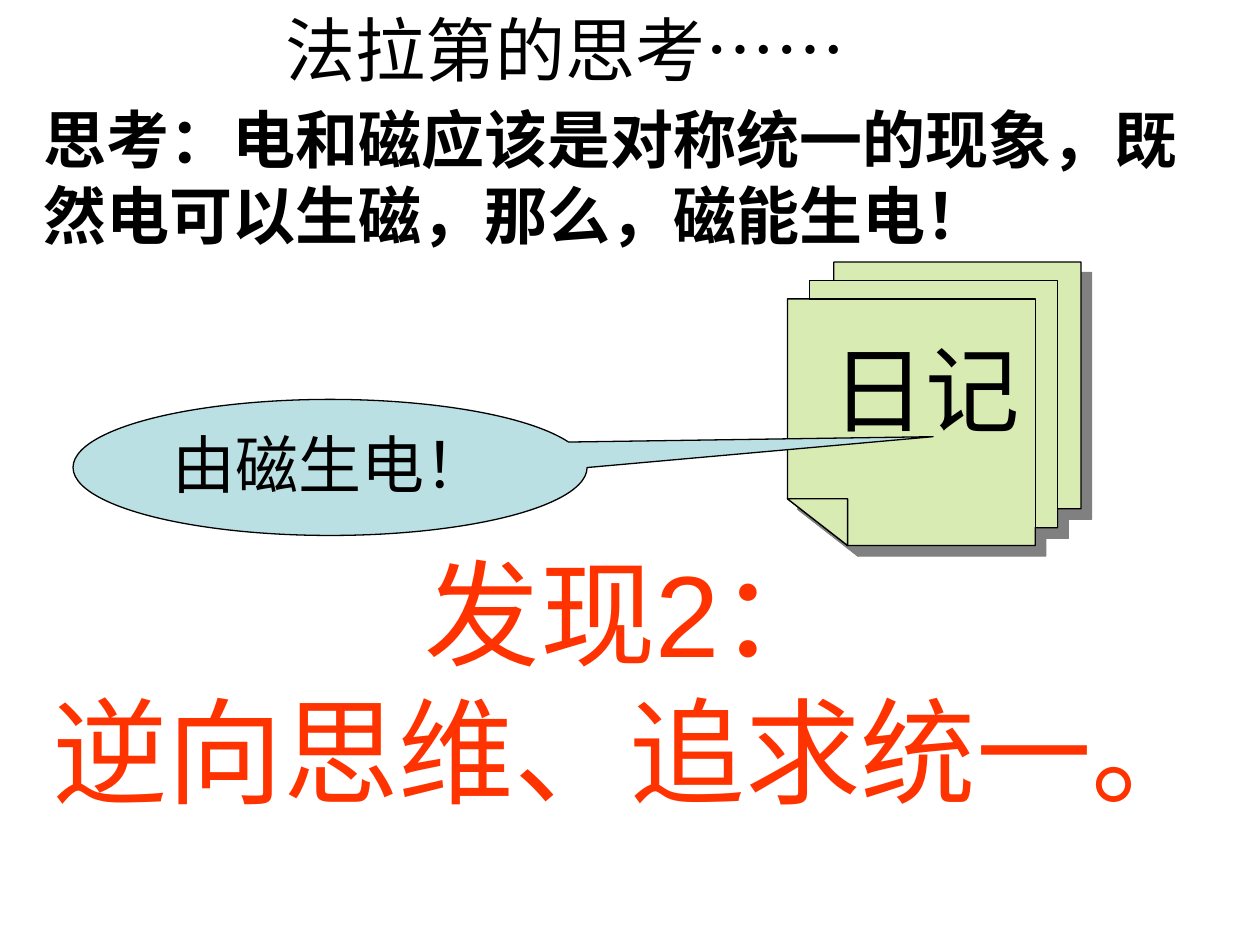
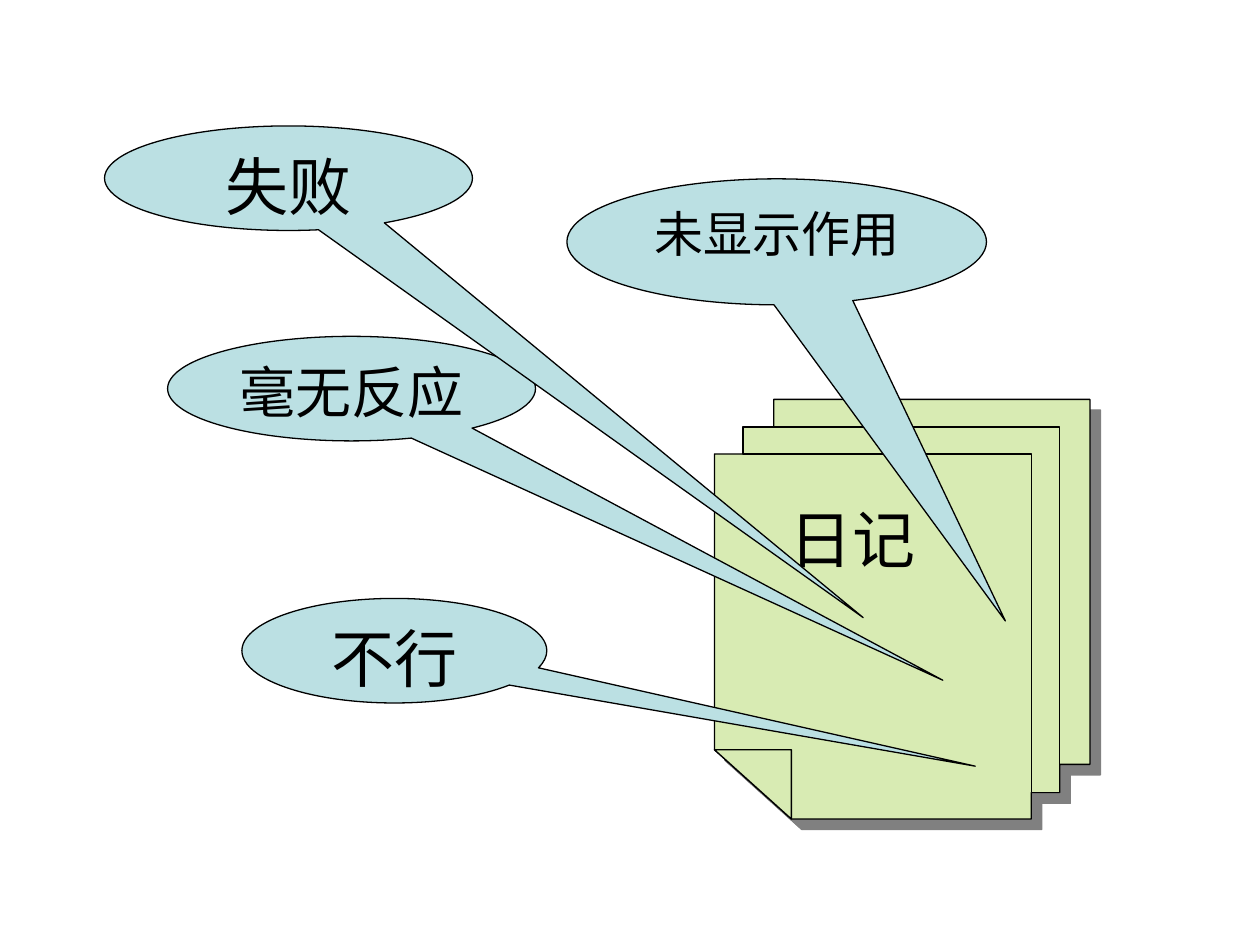
from copy import deepcopy
from dataclasses import dataclass

from lxml import etree
from pptx import Presentation
from pptx.dml.color import RGBColor as RGB
from pptx.enum.shapes import MSO_SHAPE as SHAPE
from pptx.enum.text import MSO_ANCHOR as ANCHOR, PP_ALIGN as ALIGN
from pptx.oxml.ns import qn
from pptx.util import Inches, Pt


@dataclass(frozen=True)
class Theme:
    ink: str = "000000"
    accent: str = "FF3300"
    paper: str = "D8EBB3"
    bubble: str = "BBE0E3"
    shadow: str = "808080"
    latin: str = "Arial"
    cjk: str = "Noto Sans CJK SC"
    line: float = 0.75
    shadow_dist: float = 8.5
    title: int = 40
    body: int = 36
    cover: int = 54
    finding: int = 66


T = Theme()

# Outlines of the paper stack, in percent of its width and height
STACK = [
    [(0, 83.5), (0, 13), (7.6, 13), (7.6, 6.6), (15.8, 6.6), (15.8, 0), (100, 0),
     (100, 87), (92, 87), (92, 93.7), (84.4, 93.7), (84.4, 100), (20.5, 100)],
    [(7.6, 6.6), (92, 6.6), (92, 93.7), (84.4, 93.7), (84.4, 13), (7.6, 13)],
    [(0, 83.5), (20.5, 83.5), (20.5, 100)],
]


def write(tf, lines, size, color=T.ink, align=ALIGN.LEFT):
    """Fill a frame with lines; each line is a list of (text, format) runs."""
    tf.word_wrap = True
    tf.vertical_anchor = ANCHOR.TOP
    for i, runs in enumerate(lines):
        p = tf.paragraphs[0] if i == 0 else tf.add_paragraph()
        p.alignment = align
        for text, extra in runs:
            r = p.add_run()
            r.text = text
            r.font.color.rgb = RGB.from_string(color)
            fmt = {"size": Pt(size), "name": T.latin, **extra}
            for key, value in fmt.items():
                setattr(r.font, key, value)


def add_text(s, box, lines, size, **style):
    sp = s.shapes.add_textbox(*map(Inches, box))
    write(sp.text_frame, lines, size, **style)


def paint(sp, fill):
    sp.shadow.inherit = False
    sp.fill.solid()
    sp.fill.fore_color.rgb = RGB.from_string(fill)
    sp.line.color.rgb = RGB.from_string(T.ink)
    sp.line.width = Pt(T.line)


def add_bubble(s, box, tip, text, size):
    """Speech bubble; tip is the pointer's offset from the centre."""
    sp = s.shapes.add_shape(SHAPE.OVAL_CALLOUT, *map(Inches, box))
    for i, offset in enumerate(tip):
        sp.adjustments[i] = offset
    paint(sp, T.bubble)
    write(sp.text_frame, [[(text, {})]], size, align=ALIGN.CENTER)


def add_hard_shadow(sp):
    effects = sp._element.spPr.find(qn("a:effectLst"))
    shadow = etree.SubElement(effects, qn("a:outerShdw"), dist=str(Pt(T.shadow_dist)),
                              dir="2700000", algn="ctr", rotWithShape="0")
    etree.SubElement(shadow, qn("a:srgbClr"), val=T.shadow)


def split_contours(sp):
    """Give each contour its own path, so that overlaps stay filled."""
    path = next(sp._element.iter(qn("a:path")))
    steps = list(path)
    for step in steps:
        path.remove(step)
    blank, current = deepcopy(path), None
    for step in steps:
        if step.tag == qn("a:moveTo"):
            current = path if current is None else deepcopy(blank)
            path.getparent().append(current)
        current.append(step)


def add_paper_stack(s, left, top, width, height):
    outlines = [[(Inches(left + width * x / 100), Inches(top + height * y / 100))
                 for x, y in outline] for outline in STACK]
    builder = s.shapes.build_freeform(*outlines[0][0])
    for i, outline in enumerate(outlines):
        if i:
            builder.move_to(*outline[0])
        builder.add_line_segments(outline[1:], close=True)
    sp = builder.convert_to_shape()
    split_contours(sp)
    paint(sp, T.paper)
    add_hard_shadow(sp)


def build_thinking(s):
    add_text(s, (2.17, 0, 6.25, 0.77),
             [[("法拉第的思考……", {"name": T.cjk})]], T.title)
    add_text(s, (0.25, 0.75, 9.25, 1.3),
             [[("思考：电和磁应该是对称统一的现象，既然电可以生磁，那么，",
                {"name": T.cjk, "bold": True}),
               ("磁能生电！", {"bold": True})]], T.body)
    add_paper_stack(s, 6.25, 2.08, 2.33, 2.25)
    add_text(s, (6.5, 2.58, 1.83, 1), [[("日记", {})]], T.cover)
    add_bubble(s, (0.58, 3.17, 4.08, 1.08), (1.173, -0.226), "由磁生电！", T.body)
    add_text(s, (0, 4.25, 10, 2.3),
             [[("发现2：", {})], [("逆向思维、追求统一。", {})]],
             T.finding, color=T.accent, align=ALIGN.CENTER)


def build_diary(s):
    add_paper_stack(s, 5.67, 3.17, 2.98, 3.33)
    add_bubble(s, (4.5, 1.42, 3.33, 1), (0.545, 3.009), "未显示作用", 28)
    add_bubble(s, (1.33, 2.67, 2.92, 0.83), (1.607, 2.788), "毫无反应", 32)
    add_bubble(s, (1.92, 4.75, 2.42, 0.83), (1.905, 1.104), "不行", T.body)
    add_text(s, (6.17, 3.92, 1.83, 0.7), [[("日记", {})]], T.body)
    add_bubble(s, (0.83, 1, 2.92, 0.83), (1.562, 4.202), "失败", T.body)


def main():
    prs = Presentation()
    prs.slide_width, prs.slide_height = Inches(10), Inches(7.5)
    for build in (build_thinking, build_diary):
        build(prs.slides.add_slide(prs.slide_layouts[6]))
    prs.save("out.pptx")


if __name__ == "__main__":
    main()
